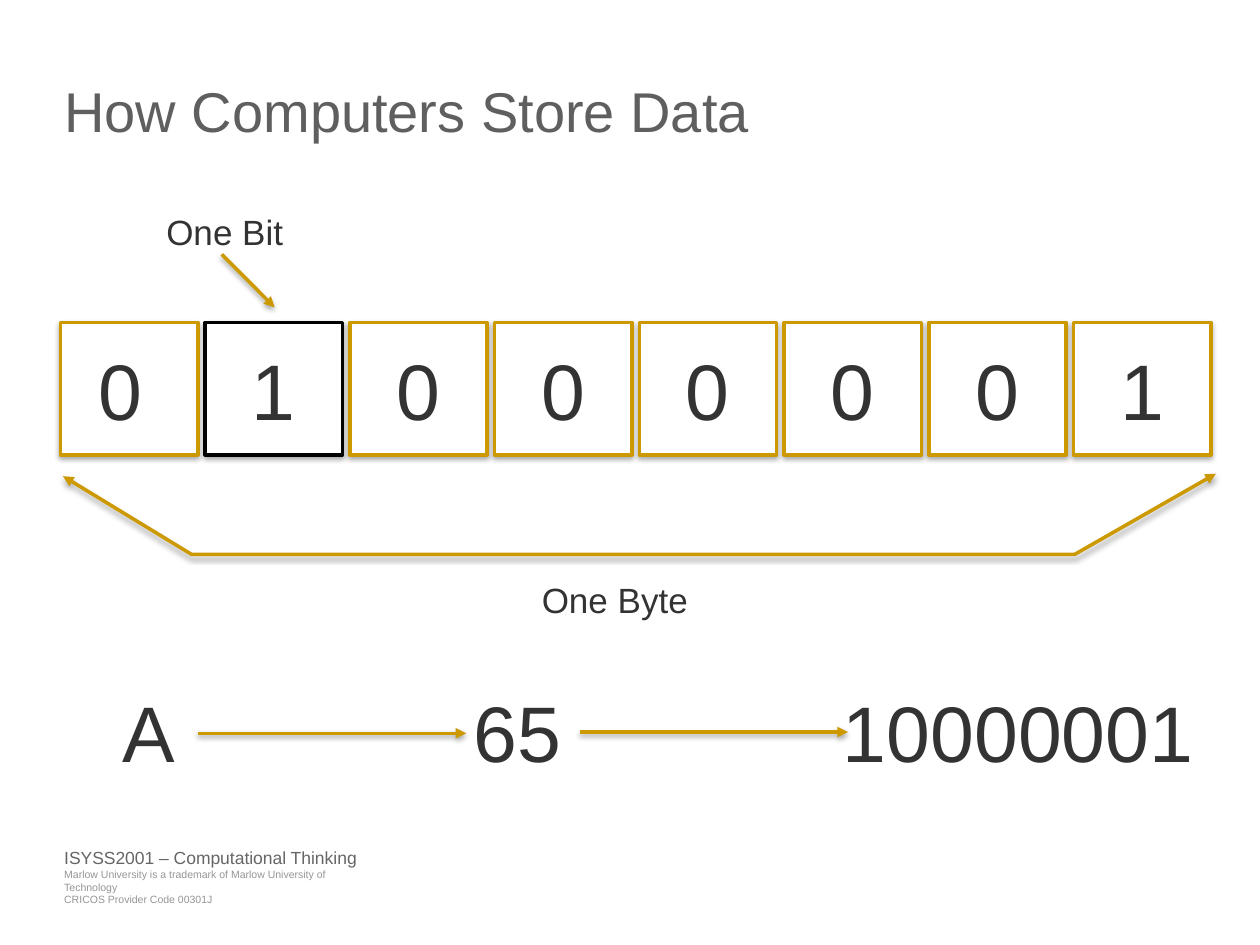
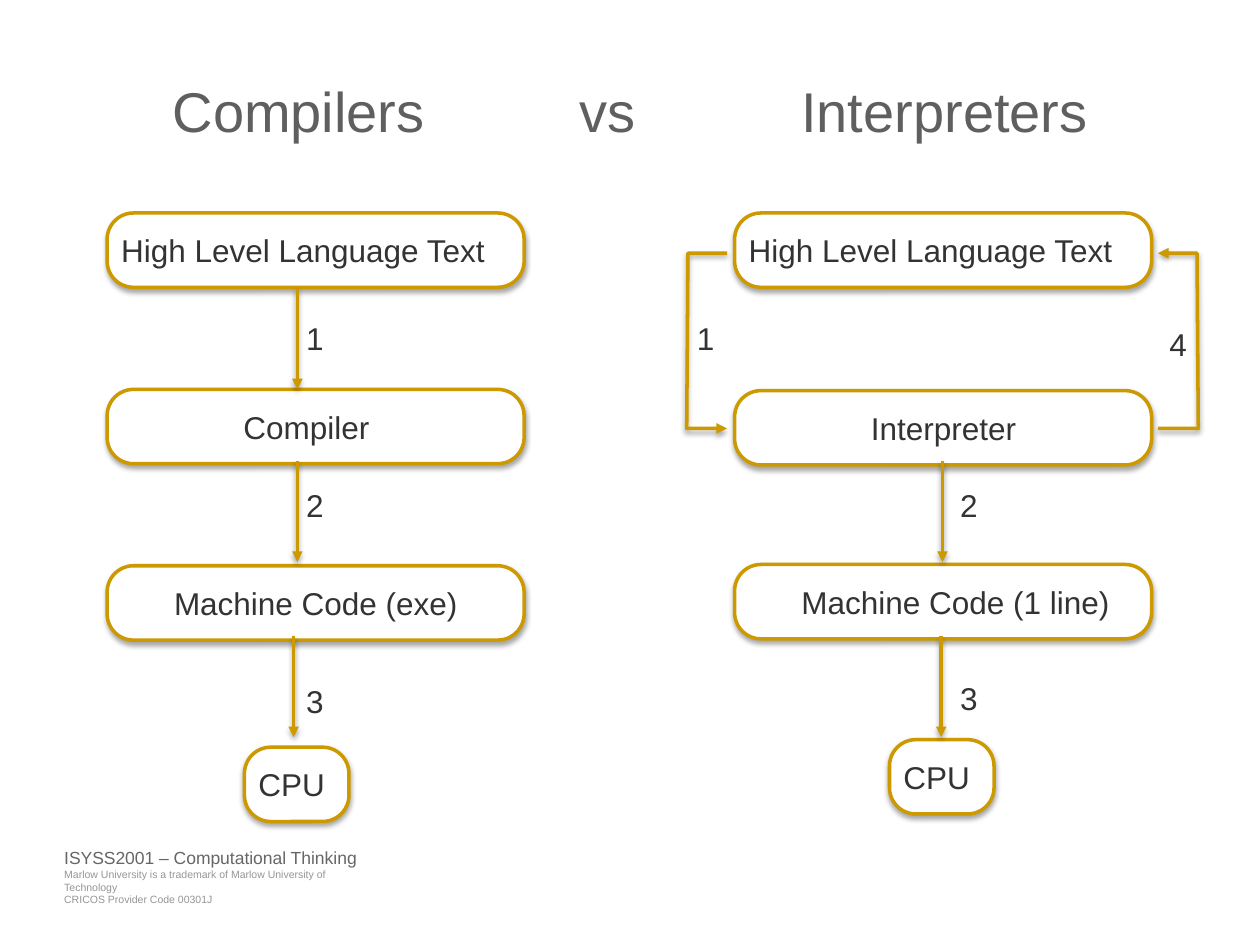
from dataclasses import dataclass
from typing import NamedTuple

from lxml.etree import SubElement
from pptx import Presentation
from pptx.dml.color import RGBColor
from pptx.enum.shapes import MSO_CONNECTOR, MSO_SHAPE
from pptx.enum.text import MSO_ANCHOR, MSO_AUTO_SIZE, PP_ALIGN
from pptx.oxml.ns import qn
from pptx.util import Inches, Pt

FONT = "Arial"
COLORS = {
    "title": "5F5F5F",
    "text": "333333",
    "course": "666666",
    "legal": "969696",
    "gold": "CC9900",
    "black": "000000",
    "white": "FFFFFF",
}
INSET = 0.05
NODE_HEIGHT = 0.59
WIDE_NODE = 3.31
CPU_NODE = 0.83


class Point(NamedTuple):
    x: float
    y: float


class Area(NamedTuple):
    left: float
    top: float
    width: float
    height: float


@dataclass(frozen=True)
class TextStyle:
    size: float
    color: str = "text"
    inset: float = INSET
    wrap: bool = False


@dataclass(frozen=True)
class Node:
    text: str
    left: float
    top: float
    width: float = WIDE_NODE
    indent: float = 0


@dataclass(frozen=True)
class Arrow:
    start: Point
    end: Point


@dataclass(frozen=True)
class Route:
    """An open line through several points, with an arrowhead at either end."""
    points: tuple[Point, ...]
    head: bool = False
    tail: bool = False


TITLE = TextStyle(32, "title", inset=0, wrap=True)
COURSE = TextStyle(10, "course", inset=0)
LEGAL = TextStyle(6, "legal", inset=0)
CAPTION = TextStyle(20)
DIGIT = TextStyle(45)
STEP = TextStyle(18)


def rgb(name: str) -> RGBColor:
    return RGBColor.from_string(COLORS[name])


def place(area: Area) -> list[Inches]:
    return [Inches(value) for value in area]


def add_span(para, text: str, style: TextStyle) -> None:
    span = para.add_run()
    span.text = text
    span.font.name = FONT
    span.font.size = Pt(style.size)
    span.font.color.rgb = rgb(style.color)


def set_insets(frame, inset: float) -> None:
    frame.margin_left = frame.margin_right = Inches(inset)
    frame.margin_top = frame.margin_bottom = Inches(inset)


def add_text(page, text: str, area: Area, style: TextStyle, tabs: tuple[float, ...] = ()) -> None:
    """Write one paragraph per line, with tab stops measured from the text edge."""
    frame = page.shapes.add_textbox(*place(area)).text_frame
    set_insets(frame, style.inset)
    frame.word_wrap = style.wrap
    frame.auto_size = MSO_AUTO_SIZE.NONE if style.wrap else MSO_AUTO_SIZE.SHAPE_TO_FIT_TEXT
    for number, line in enumerate(text.split("\n")):
        para = frame.add_paragraph() if number else frame.paragraphs[0]
        add_span(para, line, style)
        if tabs:
            stops = SubElement(para._p.get_or_add_pPr(), qn("a:tabLst"))
            for tab in tabs:
                SubElement(stops, qn("a:tab"), pos=str(Inches(tab)), algn="l")


def add_outline(shape, color: str = "gold", head: bool = False, tail: bool = False) -> None:
    """Give a shape or connector its line, arrowheads and soft shadow."""
    shape.line.color.rgb = rgb(color)
    shape.line.width = Pt(2)
    properties = shape.element.spPr
    line = properties.find(qn("a:ln"))
    for wanted, end in ((head, "a:headEnd"), (tail, "a:tailEnd")):
        if wanted:
            SubElement(line, qn(end), type="triangle")
    effects = SubElement(properties, qn("a:effectLst"))
    shadow = SubElement(effects, qn("a:outerShdw"), blurRad=str(Pt(3)), dist=str(Pt(1.8)),
                        dir="5400000", rotWithShape="0")
    shade = SubElement(shadow, qn("a:srgbClr"), val=COLORS["black"])
    SubElement(shade, qn("a:alpha"), val="35000")


def add_box(page, kind: MSO_SHAPE, area: Area, color: str = "gold"):
    box = page.shapes.add_shape(kind, *place(area))
    box.fill.solid()
    box.fill.fore_color.rgb = rgb("white")
    add_outline(box, color)
    return box


def add_node(page, node: Node) -> None:
    area = Area(node.left, node.top, node.width, NODE_HEIGHT)
    box = add_box(page, MSO_SHAPE.ROUNDED_RECTANGLE, area)
    box.adjustments[0] = 0.355
    frame = box.text_frame
    set_insets(frame, INSET)
    frame.word_wrap = True
    frame.vertical_anchor = MSO_ANCHOR.MIDDLE
    para = frame.paragraphs[0]
    para.alignment = PP_ALIGN.LEFT
    para._p.get_or_add_pPr().set("marL", str(Inches(node.indent)))
    add_span(para, node.text, STEP)


def add_arrow(page, arrow: Arrow) -> None:
    ends = [Inches(value) for point in (arrow.start, arrow.end) for value in point]
    add_outline(page.shapes.add_connector(MSO_CONNECTOR.STRAIGHT, *ends), tail=True)


def add_route(page, route: Route) -> None:
    first, *rest = [(Inches(x), Inches(y)) for x, y in route.points]
    builder = page.shapes.build_freeform(*first)
    builder.add_line_segments(rest, close=False)
    shape = builder.convert_to_shape()
    shape.fill.background()
    add_outline(shape, head=route.head, tail=route.tail)


def add_page(deck, title: str, tabs: tuple[float, ...] = ()):
    """Add a blank page with the shared title and footer."""
    page = deck.slides.add_slide(deck.slide_layouts[6])
    add_text(page, "Marlow University is a trademark of Marlow University of Technology\n"
                   "CRICOS Provider Code 00301J", Area(0.51, 6.89, 2.44, 0.16), LEGAL)
    add_text(page, "ISYSS2001 – Computational Thinking", Area(0.51, 6.72, 2.34, 0.17), COURSE)
    add_text(page, title, Area(0.51, 0.61, 8.98, 1.09), TITLE, tabs)
    return page


def build_storage_page(deck) -> None:
    page = add_page(deck, "How Computers Store Data")
    bits = "01000001"
    marked = 1
    lefts = [0.48 + 8.04 / 7 * number for number in range(len(bits))]
    drawing_order = sorted(range(len(bits)), key=lambda number: number == marked)
    for number in drawing_order:
        color = "black" if number == marked else "gold"
        add_box(page, MSO_SHAPE.RECTANGLE, Area(lefts[number], 2.56, 1.09, 1.05), color)
    for number, bit in enumerate(bits):
        offset = 0.32 if number else 0.25
        add_text(page, bit, Area(lefts[number] + offset, 2.66, 0.46, 0.85), DIGIT)

    add_text(page, "One Bit", Area(1.27, 1.62, 1.04, 0.43), CAPTION)
    add_text(page, "One Byte", Area(4.25, 4.54, 1.27, 0.43), CAPTION)
    add_route(page, Route((Point(0.5, 3.78), Point(1.52, 4.4), Point(8.53, 4.4),
                           Point(9.65, 3.76)), head=True, tail=True))
    add_text(page, "A\t65\t10000001", Area(0.92, 5.38, 8.66, 0.85), DIGIT, (2.79, 5.72))
    for arrow in (
        Arrow(Point(1.76, 2.02), Point(2.18, 2.44)),
        Arrow(Point(1.57, 5.82), Point(3.7, 5.82)),
        Arrow(Point(4.6, 5.81), Point(6.73, 5.81)),
    ):
        add_arrow(page, arrow)


def build_translation_page(deck) -> None:
    page = add_page(deck, "\tCompilers\tvs\tInterpreters", (0.86, 4.09, 5.85))
    compiler_left, interpreter_left = 0.85, 5.83
    source = "High Level Language Text"
    for node in (
        Node(source, compiler_left, 1.69),
        Node("Compiler", compiler_left, 3.09, indent=0.97),
        Node("Machine Code (exe)", compiler_left, 4.49, indent=0.42),
        Node("CPU", 1.94, 5.93, CPU_NODE),
        Node(source, interpreter_left, 1.69),
        Node("Interpreter", interpreter_left, 3.1, indent=0.97),
        Node("Machine Code (1 line)", interpreter_left, 4.48, indent=0.42),
        Node("CPU", 7.06, 5.87, CPU_NODE),
    ):
        add_node(page, node)

    for x, top in ((2.36, 2.29), (2.36, 3.66), (2.33, 5.05), (7.48, 3.66), (7.47, 5.05)):
        add_arrow(page, Arrow(Point(x, top), Point(x, top + 0.8)))

    upper, lower = 2.01, 3.4
    add_route(page, Route((Point(5.77, upper), Point(5.46, upper), Point(5.45, lower),
                           Point(5.77, lower)), tail=True))
    add_route(page, Route((Point(9.19, upper), Point(9.5, upper), Point(9.51, lower),
                           Point(9.19, lower)), head=True))

    for step, left, top in (
        ("1", 2.38, 2.48), ("2", 2.38, 3.81), ("3", 2.38, 5.36),
        ("1", 5.48, 2.48), ("2", 7.57, 3.81), ("3", 7.57, 5.34), ("4", 9.23, 2.53),
    ):
        add_text(page, step, Area(left, top, 0.25, 0.41), STEP)


def main() -> None:
    deck = Presentation()
    deck.slide_width, deck.slide_height = Inches(10), Inches(7.5)
    build_storage_page(deck)
    build_translation_page(deck)
    deck.save("out.pptx")


if __name__ == "__main__":
    main()
